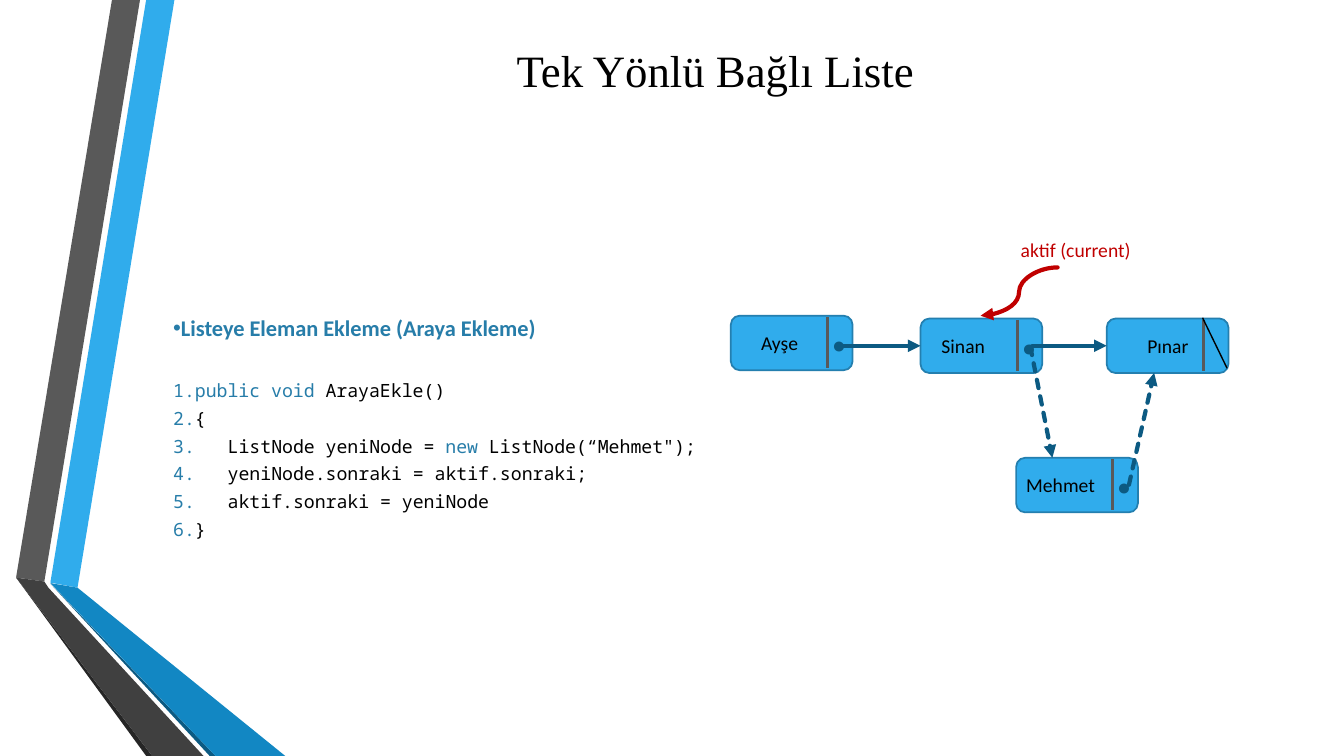
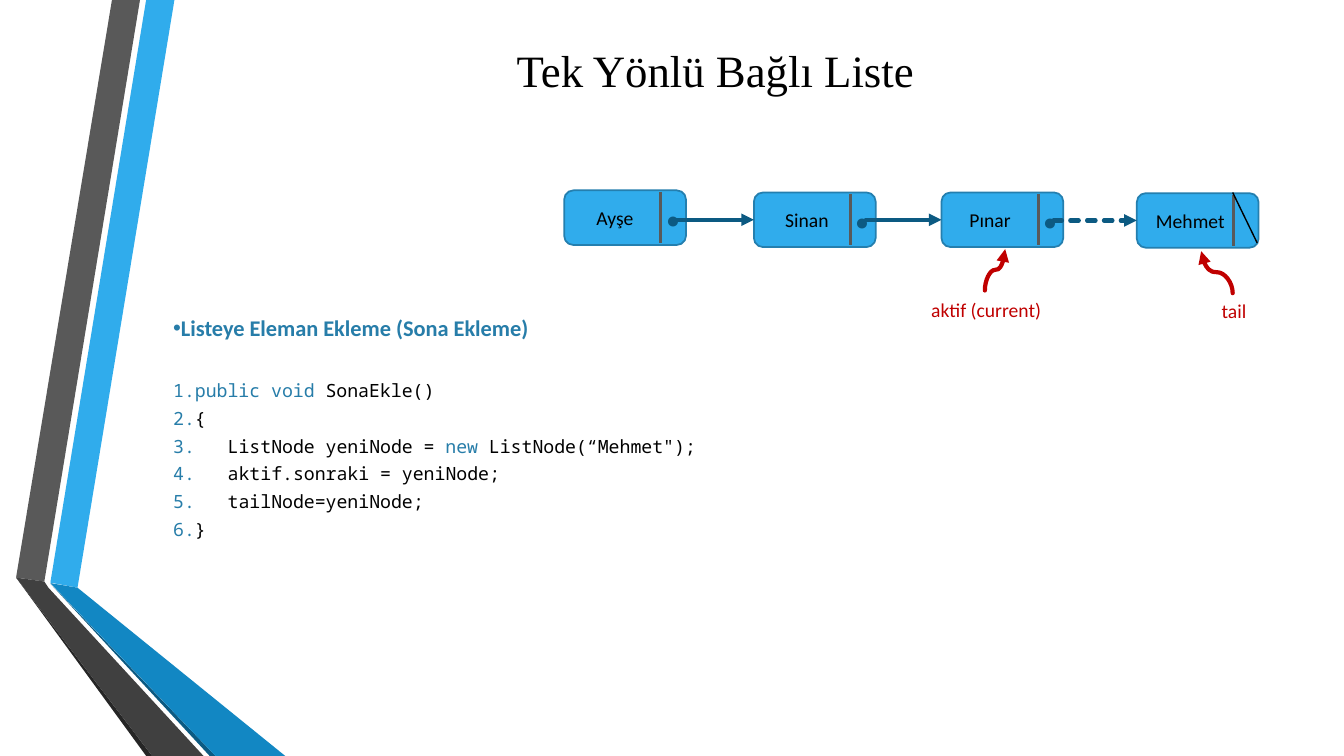
import pptx
import pptx.dml.color
import pptx.enum.dml
import pptx.enum.shapes
import pptx.enum.text
import pptx.oxml.ns
import pptx.util
from lxml import etree

Pt = pptx.util.Pt
RGBColor = pptx.dml.color.RGBColor
CONNECTOR = pptx.enum.shapes.MSO_CONNECTOR
ANCHOR = pptx.enum.text.MSO_ANCHOR
ALIGN = pptx.enum.text.PP_ALIGN
qn = pptx.oxml.ns.qn

# Colours
BLACK = RGBColor(0x00, 0x00, 0x00)
SKY = RGBColor(0x30, 0xAC, 0xEC)
NODE_EDGE = RGBColor(0x24, 0x7F, 0xAF)
KEYWORD = RGBColor(0x27, 0x7D, 0xA9)
OCEAN = RGBColor(0x12, 0x87, 0xC3)
NAVY = RGBColor(0x0C, 0x5A, 0x82)
RED = RGBColor(0xC0, 0x00, 0x00)
GREY = RGBColor(0x59, 0x59, 0x59)
CHARCOAL = RGBColor(0x40, 0x40, 0x40)
SOOT = RGBColor(0x26, 0x26, 0x26)

# Text styles
TITLE_FONT = {"name": "Times New Roman", "size": Pt(32)}
HEADING_FONT = {"name": "Calibri", "size": Pt(16), "bold": True}
CODE_FONT = {"name": "Noto Sans Mono", "size": Pt(13)}
LABEL_FONT = {"name": "Calibri", "size": Pt(14)}
DOT_FONT = {"name": "Calibri", "size": Pt(48), "bold": True}
NO_MARGINS = {"margin_left": 0, "margin_right": 0, "margin_top": 0, "margin_bottom": 0}

# Node geometry
NODE_W, NODE_H = 87, 39
DIVIDER_X = 69
POINTER_X = 80
CORNER_INSET = 1.9

# Folded ribbons on the left edge
RIBBONS = [
    (SKY, [(36, 416.2), (55.4, 419.8), (124.6, 0), (104.4, 0)]),
    (GREY, [(100, 0), (80, 0), (11.5, 412.6), (31.7, 415.4)]),
    (SOOT, [(11.5, 412.6), (104.4, 540), (108.7, 540)]),
    (NAVY, [(36, 416.9), (149.8, 540), (154, 540)]),
    (OCEAN, [(36, 416.5), (154, 540), (203.8, 540), (55.4, 419.8)]),
    (CHARCOAL, [(145.4, 540), (34.6, 419.8), (31.7, 415.4), (11.5, 412.6), (108.7, 540)]),
]


def set_format(target, values):
    for name, value in values.items():
        setattr(target, name, value)


def add_run(paragraph, text, font, color):
    run = paragraph.add_run()
    run.text = text
    set_format(run.font, font)
    run.font.color.rgb = color


def add_text(slide, box, text, font, color, align=ALIGN.LEFT, **frame_format):
    frame = slide.shapes.add_textbox(*map(Pt, box)).text_frame
    set_format(frame, {"word_wrap": True, **frame_format})
    frame.paragraphs[0].alignment = align
    add_run(frame.paragraphs[0], text, font, color)


def add_ribbons(slide):
    for color, points in RIBBONS:
        start, *rest = [(Pt(x), Pt(y)) for x, y in points]
        outline = slide.shapes.build_freeform(*start)
        outline.add_line_segments(rest, close=True)
        ribbon = outline.convert_to_shape()
        ribbon.shadow.inherit = False
        ribbon.fill.solid()
        ribbon.fill.fore_color.rgb = color
        ribbon.line.fill.background()


def add_line(slide, start, end, color, width, arrow=False, dashed=False,
             kind=CONNECTOR.STRAIGHT):
    line = slide.shapes.add_connector(kind, *map(Pt, (*start, *end)))
    line.line.color.rgb = color
    line.line.width = Pt(width)
    if dashed:
        line.line.dash_style = pptx.enum.dml.MSO_LINE.SQUARE_DOT
    properties = line._element.spPr
    if arrow:
        stroke = properties.find(qn("a:ln"))
        stroke.set("cap", "rnd")
        etree.SubElement(stroke, qn("a:tailEnd"), type="triangle")
    etree.SubElement(properties, qn("a:effectLst"))
    return line


def add_curve(slide, start, end, upward=False):
    """Red S-curve; an upward one is laid out sideways and turned a quarter."""
    if upward:
        (x1, y1), (x2, y2) = start, end
        cx, cy = (x1 + x2) / 2, (y1 + y2) / 2
        half_dx, half_dy = (x2 - x1) / 2, (y2 - y1) / 2
        start = (cx + half_dy, cy - half_dx)
        end = (cx - half_dy, cy + half_dx)
    curve = add_line(slide, start, end, RED, 3, arrow=True, kind=CONNECTOR.CURVE)
    if upward:
        curve._element.spPr.find(qn("a:xfrm")).set("rot", str(270 * 60000))


def add_node(slide, name, x, y, text_x, last=False):
    node = slide.shapes.add_shape(
        pptx.enum.shapes.MSO_SHAPE.ROUNDED_RECTANGLE, *map(Pt, (x, y, NODE_W, NODE_H)))
    node.shadow.inherit = False
    node.fill.solid()
    node.fill.fore_color.rgb = SKY
    node.line.color.rgb = NODE_EDGE
    node.line.width = Pt(1.25)
    set_format(node.text_frame, {**NO_MARGINS, "margin_left": Pt(text_x - CORNER_INSET),
                                 "word_wrap": True, "vertical_anchor": ANCHOR.MIDDLE})
    node.text_frame.paragraphs[0].alignment = ALIGN.LEFT
    add_run(node.text_frame.paragraphs[0], name, LABEL_FONT, BLACK)

    add_line(slide, (x + DIVIDER_X, y + 1), (x + DIVIDER_X, y + 37.5), GREY, 2.25)
    if last:  # slash for the null pointer
        add_line(slide, (x + 68.5, y - 0.5), (x + 86, y + 35.5), BLACK, 1)
    return node


def add_dot(slide, node):
    x, y = node.left.pt, node.top.pt
    add_text(slide, (x + 71.3, y - 22.4, 18, 58.6), ".", DOT_FONT, NAVY, **NO_MARGINS)


def add_link(slide, source, target, dashed=False):
    middle = target.top.pt + NODE_H / 2
    link = add_line(slide, (source.left.pt + POINTER_X, middle),
                    (target.left.pt, middle), NAVY, 3, arrow=True, dashed=dashed)
    link.end_connect(target, 1)


def add_caption(slide, text, x, y, width):
    add_text(slide, (x, y, width, 24.5), text, LABEL_FONT, RED)


def set_bullet(paragraph, hang, kind, **bullet):
    properties = paragraph._p.get_or_add_pPr()
    properties.set("marL", str(Pt(hang)))
    properties.set("indent", str(-Pt(hang)))
    tint = etree.SubElement(properties, qn("a:buClr"))
    etree.SubElement(tint, qn("a:srgbClr"), val=str(KEYWORD))
    typeface = "Arial" if kind == "a:buChar" else CODE_FONT["name"]
    etree.SubElement(properties, qn("a:buFont"), typeface=typeface)
    etree.SubElement(properties, qn(kind), **bullet)


def add_code(slide, heading, method, statements):
    """Bulleted heading above a numbered listing."""
    frame = slide.shapes.add_textbox(*map(Pt, (116.6, 223.2, 565, 252.7))).text_frame
    frame.word_wrap = True
    spacing = {"space_after": Pt(6), "line_spacing": 0.88}

    title = frame.paragraphs[0]
    set_format(title, spacing)
    set_bullet(title, 5.6, "a:buChar", char="•")
    add_run(title, heading, HEADING_FONT, KEYWORD)

    outer, inner = 15.6, 39
    lines = [
        (outer, [("public void ", KEYWORD), (method, BLACK)]),
        (outer, [("{", BLACK)]),
        (inner, [("ListNode yeniNode = ", BLACK), ("new ", KEYWORD),
                 ("ListNode(“Mehmet\");", BLACK)]),
        *[(inner, [(statement, BLACK)]) for statement in statements],
        (outer, [("}", BLACK)]),
    ]
    for number, (hang, runs) in enumerate(lines):
        line = frame.add_paragraph()
        set_format(line, {**spacing, "level": 1, "space_before": Pt(0 if number else 23.5)})
        set_bullet(line, hang, "a:buAutoNum", type="arabicPeriod")
        for text, color in runs:
            add_run(line, text, CODE_FONT, color)


def add_base_slide(deck):
    slide = deck.slides.add_slide(deck.slide_layouts[6])
    add_ribbons(slide)
    add_text(slide, (116.6, 12.2, 789, 75), "Tek Yönlü Bağlı Liste", TITLE_FONT, BLACK,
             ALIGN.CENTER, vertical_anchor=ANCHOR.MIDDLE)
    return slide


def add_insert_between(deck):
    slide = add_base_slide(deck)
    add_code(slide, "Listeye Eleman Ekleme (Araya Ekleme)", "ArayaEkle()",
             ["yeniNode.sonraki = aktif.sonraki;", "aktif.sonraki = yeniNode"])

    # List nodes and their pointers
    ayse = add_node(slide, "Ayşe", 522, 225.5, 21.6)
    sinan = add_node(slide, "Sinan", 657.5, 227.5, 15)
    pinar = add_node(slide, "Pınar", 790.5, 227.5, 29, last=True)
    mehmet = add_node(slide, "Mehmet", 725.8, 327, 7.2)
    for node in (ayse, sinan, mehmet):
        add_dot(slide, node)
    add_link(slide, ayse, sinan)
    add_link(slide, sinan, pinar)

    # New pointers through the inserted node
    for start, end in [((736, 247.7), (751.7, 327)), ((806.4, 346.3), (824.4, 266.4))]:
        add_line(slide, start, end, NAVY, 3, arrow=True, dashed=True)

    add_curve(slide, (755.5, 191), (700.5, 225.5))
    add_caption(slide, "aktif (current)", 722, 166.5, 106.5)


def add_insert_at_end(deck):
    slide = add_base_slide(deck)
    add_code(slide, "Listeye Eleman Ekleme (Sona Ekleme)", "SonaEkle()",
             ["aktif.sonraki = yeniNode;", "tailNode=yeniNode;"])

    # List nodes and their pointers
    nodes = [
        add_node(slide, "Ayşe", 403, 136, 23),
        add_node(slide, "Sinan", 538.5, 137.5, 22.3),
        add_node(slide, "Pınar", 672.5, 137.5, 20),
        add_node(slide, "Mehmet", 812, 138, 13.7, last=True),
    ]
    for source, target in zip(nodes, nodes[1:]):
        add_dot(slide, source)
        add_link(slide, source, target, dashed=target is nodes[-1])

    # Markers under the list
    add_curve(slide, (703.5, 207.5), (718, 178), upward=True)
    add_caption(slide, "aktif (current)", 658, 209.5, 106.5)
    add_curve(slide, (880.5, 209.5), (858, 179.5), upward=True)
    add_caption(slide, "tail", 865.5, 210, 43)


def main():
    deck = pptx.Presentation()
    deck.slide_width, deck.slide_height = Pt(960), Pt(540)
    add_insert_between(deck)
    add_insert_at_end(deck)
    deck.save("out.pptx")


if __name__ == "__main__":
    main()
